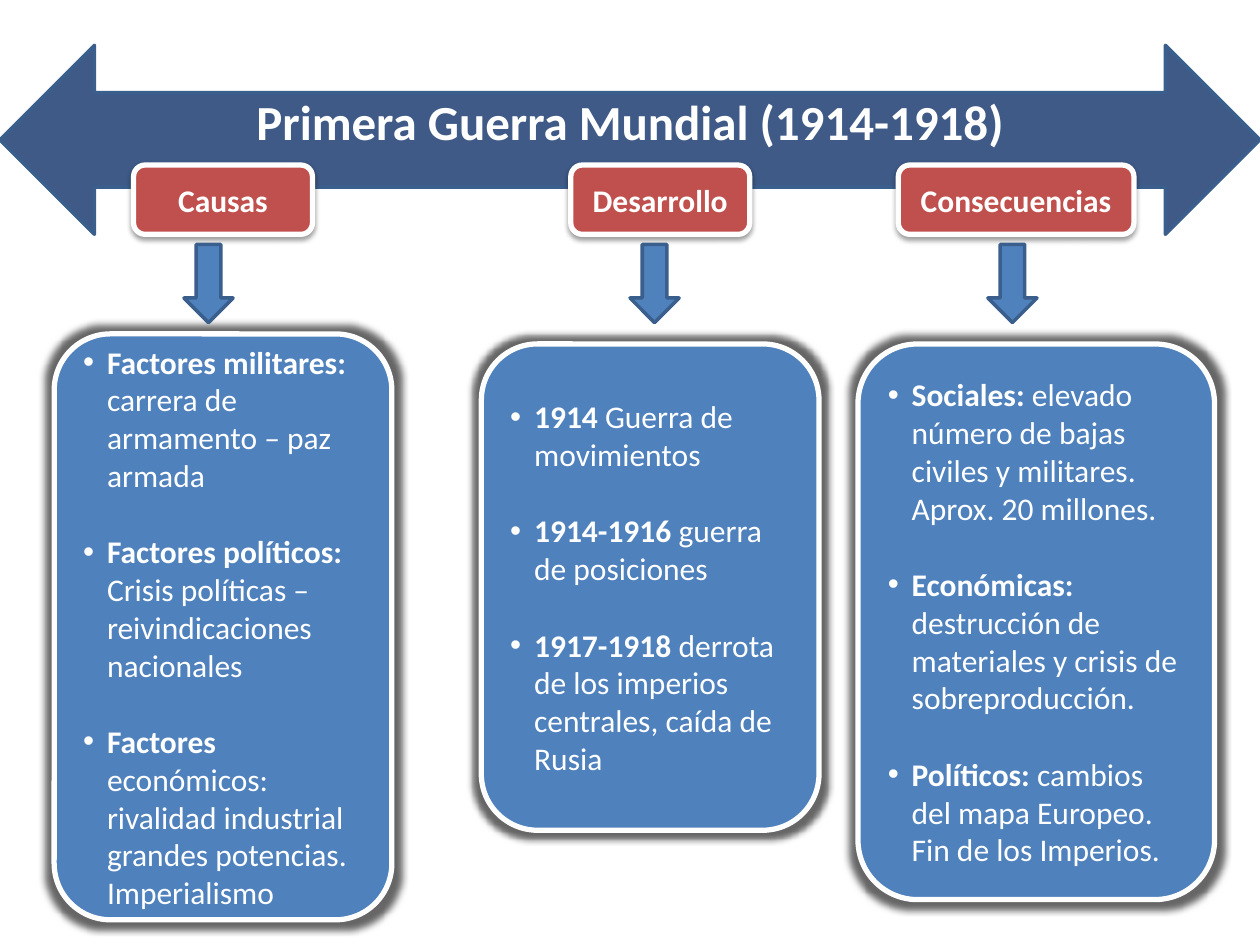
import pptx
import pptx.util
import pptx.dml.color
import pptx.enum.shapes
import pptx.enum.text
import pptx.oxml
import pptx.oxml.ns

COLORS = {"banner": "3F5A87", "outline": "3A5F8C", "label": "C0504D",
          "panel": "4F81BD", "white": "FFFFFF", "shadow": "000000"}
GRID_COLUMNS, GRID_ROWS = 100, 75
SHAPES = pptx.enum.shapes.MSO_SHAPE
ALIGN = pptx.enum.text.PP_ALIGN


def rgb(name):
    return pptx.dml.color.RGBColor.from_string(COLORS[name])


class Diagram:
    font, body_size, title_size = "Calibri", 18, 28
    paragraph_gap = 22

    def __init__(self, presentation):
        self.slide = presentation.slides.add_slide(presentation.slide_layouts[6])
        self.column = presentation.slide_width / GRID_COLUMNS
        self.row = presentation.slide_height / GRID_ROWS

    def block(self, kind, box, fill, line, width):
        left, top, columns, rows = box
        shape = self.slide.shapes.add_shape(
            kind, round(left * self.column), round(top * self.row),
            round(columns * self.column), round(rows * self.row))
        shape.shadow.inherit = False
        shape.fill.solid()
        shape.fill.fore_color.rgb = rgb(fill)
        shape.line.color.rgb = rgb(line)
        shape.line.width = pptx.util.Pt(width)
        shape.text_frame.word_wrap = True
        shape.text_frame.vertical_anchor = pptx.enum.text.MSO_ANCHOR.MIDDLE
        return shape

    def effect(self, shape, tag, alpha, **lengths):
        attributes = " ".join(f'{key}="{value}"' for key, value in lengths.items())
        shape._element.spPr.find(pptx.oxml.ns.qn("a:effectLst")).append(pptx.oxml.parse_xml(
            f'<a:{tag} {pptx.oxml.ns.nsdecls("a")} {attributes}>'
            f'<a:srgbClr val="{COLORS["shadow"]}"><a:alpha val="{alpha * 1000}"/></a:srgbClr>'
            f'</a:{tag}>'))

    def style(self, run, size, bold):
        run.font.name = self.font
        run.font.size = pptx.util.Pt(size)
        run.font.bold = bold
        run.font.color.rgb = rgb("white")

    def heading(self, shape, text, size):
        shape.text_frame.text = text
        paragraph = shape.text_frame.paragraphs[0]
        paragraph.alignment = ALIGN.CENTER
        self.style(paragraph.runs[0], size, True)

    def banner(self, box, text):
        shape = self.block(SHAPES.LEFT_RIGHT_ARROW, box, "banner", "outline", 2)
        shape.text_frame.margin_bottom = pptx.util.Inches(0.35)
        self.heading(shape, text, self.title_size)

    def label(self, box, text):
        shape = self.block(SHAPES.ROUNDED_RECTANGLE, box, "label", "white", 3)
        self.effect(shape, "outerShdw", 38, blurRad=pptx.util.Pt(3.1),
                    dist=pptx.util.Pt(1.6), dir=90 * 60000, rotWithShape=0)
        self.heading(shape, text, self.body_size)

    def down_arrow(self, box):
        self.block(SHAPES.DOWN_ARROW, box, "panel", "outline", 2)

    def panel(self, box, items):
        shape = self.block(SHAPES.ROUNDED_RECTANGLE, box, "panel", "white", 3)
        self.effect(shape, "glow", 60, rad=pptx.util.Pt(8))
        self.effect(shape, "innerShdw", 40, blurRad=pptx.util.Pt(4),
                    dist=pptx.util.Pt(3), dir=225 * 60000)
        frame = shape.text_frame
        for index, (lead, detail) in enumerate(items):
            paragraph = frame.add_paragraph() if index else frame.paragraphs[0]
            paragraph.alignment = ALIGN.LEFT
            if index:
                paragraph.space_before = pptx.util.Pt(self.paragraph_gap)
            self.bullet(paragraph)
            for text, bold in ((lead, True), (detail, False)):
                run = paragraph.add_run()
                run.text = text
                self.style(run, self.body_size, bold)

    def bullet(self, paragraph):
        properties = paragraph._p.get_or_add_pPr()
        indent = pptx.util.Inches(0.19)
        properties.set("marL", str(indent))
        properties.set("indent", str(-indent))
        for markup in ('buFont {} typeface="Arial"', 'buChar {} char="•"'):
            properties.append(pptx.oxml.parse_xml(
                f'<a:{markup.format(pptx.oxml.ns.nsdecls("a"))}/>'))


# Each topic: label left and width, arrow left, panel box, items
TOPICS = [
    ("Causas", 10.6, 14.2, 14.6, (4.3, 26.5, 26.8, 46.5), [
        ("Factores militares: ", "carrera de armamento – paz armada"),
        ("Factores políticos: ", "Crisis políticas – reivindicaciones nacionales"),
        ("Factores ", "económicos: rivalidad industrial grandes potencias. Imperialismo")]),
    ("Desarrollo", 45.3, 14.2, 50, (38.2, 27.3, 26.8, 38.6), [
        ("1914", " Guerra de movimientos"),
        ("1914-1916", " guerra de posiciones"),
        ("1917-1918", " derrota de los imperios centrales, caída de Rusia")]),
    ("Consecuencias", 71.3, 18.7, 78.4, (68.1, 27.3, 28.3, 44.1), [
        ("Sociales: ", "elevado número de bajas civiles y militares. Aprox. 20 millones."),
        ("Económicas: ", "destrucción de materiales y crisis de sobreproducción."),
        ("Políticos: ", "cambios del mapa Europeo. Fin de los Imperios.")]),
]


def main():
    presentation = pptx.Presentation()
    presentation.slide_width = pptx.util.Inches(10)
    presentation.slide_height = pptx.util.Inches(7.5)
    diagram = Diagram(presentation)

    # Title banner
    diagram.banner((0, 3.6, GRID_COLUMNS, 15), "Primera Guerra Mundial (1914-1918)")

    # Label, arrow and panel for each topic
    for name, label_left, label_width, arrow_left, panel_box, items in TOPICS:
        diagram.label((label_left, 13.1, label_width, 5.5), name)
        diagram.panel(panel_box, items)
        diagram.down_arrow((arrow_left, 19.4, 3.9, 6.2))

    presentation.save("out.pptx")


if __name__ == "__main__":
    main()
